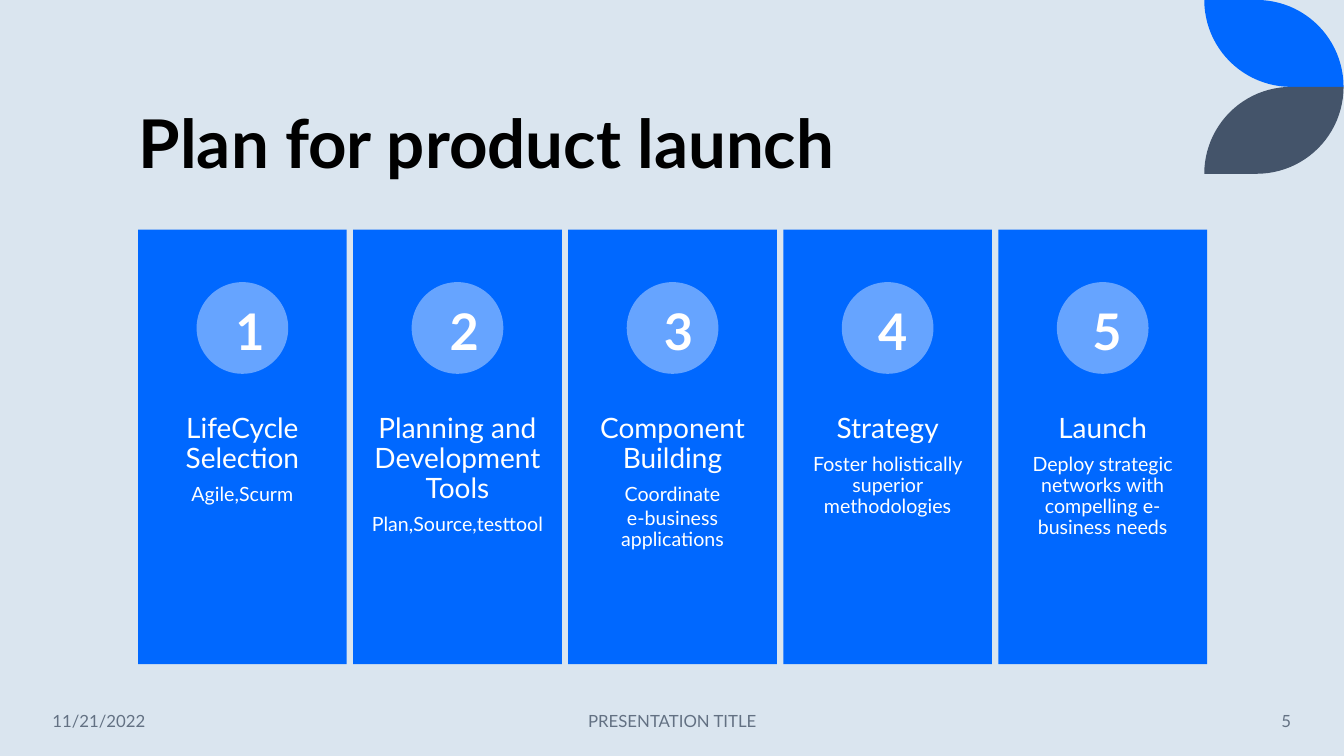
"""Build the product launch plan slide with five numbered step columns."""
from dataclasses import dataclass
from math import cos, pi, sin

from pptx import Presentation
from pptx.dml.color import RGBColor
from pptx.enum.shapes import MSO_SHAPE
from pptx.enum.text import MSO_ANCHOR, MSO_AUTO_SIZE, PP_ALIGN
from pptx.shapes.autoshape import Shape
from pptx.slide import Slide
from pptx.text.text import TextFrame
from pptx.util import Cm, Pt


@dataclass(frozen=True)
class Theme:
    font: str = "Lato"
    background: str = "DAE5EF"
    blue: str = "0068FF"
    light_blue: str = "66A4FF"
    slate: str = "44546A"
    grey: str = "637183"
    black: str = "000000"
    white: str = "FFFFFF"
    title_size: int = 48
    number_size: int = 36
    heading_size: int = 20
    detail_size: int = 14
    footer_size: int = 12


@dataclass(frozen=True)
class Box:
    left: float
    top: float
    width: float
    height: float

    def emu(self) -> tuple[Cm, Cm, Cm, Cm]:
        return Cm(self.left), Cm(self.top), Cm(self.width), Cm(self.height)


@dataclass(frozen=True)
class Line:
    text: str
    size: int
    color: str
    bold: bool = False
    spacing: float = 1.0
    after: int = 0


@dataclass(frozen=True)
class Step:
    heading: str
    details: tuple[str, ...]


@dataclass(frozen=True)
class Footer:
    text: str
    left: float
    width: float
    align: PP_ALIGN


THEME = Theme()
STEPS = (
    Step("LifeCycle Selection", ("Agile,Scurm",)),
    Step("Planning and Development Tools", ("Plan,Source,testtool",)),
    Step("Component Building", ("Coordinate", "e-business applications")),
    Step("Strategy", ("Foster holistically superior methodologies",)),
    Step("Launch", ("Deploy strategic networks with compelling e-business needs",)),
)
FOOTERS = (
    Footer("11/21/2022", 1.07, 4.72, PP_ALIGN.LEFT),
    Footer("PRESENTATION TITLE", 11.23, 11.43, PP_ALIGN.CENTER),
    Footer("5", 28.19, 4.6, PP_ALIGN.RIGHT),
)
COLUMN_LEFT, COLUMN_PITCH, COLUMN_WIDTH = 3.48, 5.42, 5.26
CIRCLE_SIZE = 2.31
NUMBER_LEFT, NUMBER_PITCH = 5.68, 5.4
PETAL_LEFT, PETAL_RADIUS, PETAL_EDGE = 30.35, 2.19, 1.32
ARC_STEPS = 24


def paint(sp: Shape, color: str) -> None:
    sp.fill.solid()
    sp.fill.fore_color.rgb = RGBColor.from_string(color)
    sp.line.fill.background()
    sp.shadow.inherit = False


def add_block(s: Slide, kind: MSO_SHAPE, box: Box, color: str) -> None:
    paint(s.shapes.add_shape(kind, *box.emu()), color)


def add_text(s: Slide, box: Box, lines: list[Line], align: PP_ALIGN,
             anchor: MSO_ANCHOR = MSO_ANCHOR.TOP) -> TextFrame:
    tf = s.shapes.add_textbox(*box.emu()).text_frame
    tf.word_wrap = True
    tf.vertical_anchor = anchor
    for i, line in enumerate(lines):
        p = tf.add_paragraph() if i else tf.paragraphs[0]
        p.alignment = align
        p.line_spacing = line.spacing
        p.space_after = Pt(line.after)
        r = p.add_run()
        r.text = line.text
        r.font.name = THEME.font
        r.font.size = Pt(line.size)
        r.font.bold = line.bold
        r.font.color.rgb = RGBColor.from_string(line.color)
    return tf


def add_petal(s: Slide, color: str, mirrored: bool) -> None:
    radius = PETAL_RADIUS
    angles = [pi / 2 * i / ARC_STEPS for i in range(ARC_STEPS + 1)]
    outer = [(PETAL_EDGE + radius * sin(a), radius - radius * cos(a)) for a in angles]
    inner = [(radius - radius * sin(a), radius * cos(a)) for a in angles]
    points = [(Cm(PETAL_LEFT + x), Cm(2 * radius - y if mirrored else y))
              for x, y in [(0, 0), *outer, *inner]]
    fb = s.shapes.build_freeform(*points[0])
    fb.add_line_segments(points[1:], close=True)
    paint(fb.convert_to_shape(), color)


def add_step(s: Slide, index: int, step: Step) -> None:
    left = COLUMN_LEFT + index * COLUMN_PITCH
    add_block(s, MSO_SHAPE.RECTANGLE, Box(left, 5.79, COLUMN_WIDTH, 10.95), THEME.blue)
    circle_left = left + (COLUMN_WIDTH - CIRCLE_SIZE) / 2
    add_block(s, MSO_SHAPE.OVAL, Box(circle_left, 7.11, CIRCLE_SIZE, CIRCLE_SIZE),
              THEME.light_blue)
    lines = [Line(step.heading, THEME.heading_size, THEME.white, spacing=0.9, after=7)]
    lines += [Line(text, THEME.detail_size, THEME.white, spacing=0.9, after=2)
              for text in step.details]
    tf = add_text(s, Box(left, 10.16, COLUMN_WIDTH, 4.37), lines, PP_ALIGN.CENTER)
    tf.margin_left = tf.margin_right = tf.margin_top = tf.margin_bottom = Cm(0.28)
    number = Line(str(index + 1), THEME.number_size, THEME.white, bold=True)
    box = Box(NUMBER_LEFT + index * NUMBER_PITCH, 7.44, 0.97, 1.8)
    tf = add_text(s, box, [number], PP_ALIGN.CENTER)
    tf.auto_size = MSO_AUTO_SIZE.SHAPE_TO_FIT_TEXT


def main() -> None:
    prs = Presentation()
    prs.slide_width, prs.slide_height = Cm(33.87), Cm(19.05)
    s = prs.slides.add_slide(prs.slide_layouts[6])
    s.background.fill.solid()
    s.background.fill.fore_color.rgb = RGBColor.from_string(THEME.background)
    add_petal(s, THEME.blue, mirrored=False)
    add_petal(s, THEME.slate, mirrored=True)
    title = Line("Plan for product launch", THEME.title_size, THEME.black,
                 bold=True, spacing=0.9)
    add_text(s, Box(3.25, 1.07, 27.15, 3.68), [title], PP_ALIGN.LEFT, MSO_ANCHOR.BOTTOM)
    for index, step in enumerate(STEPS):
        add_step(s, index, step)
    for footer in FOOTERS:
        add_text(s, Box(footer.left, 17.65, footer.width, 1.02),
                 [Line(footer.text, THEME.footer_size, THEME.grey)],
                 footer.align, MSO_ANCHOR.MIDDLE)
    prs.save("out.pptx")


if __name__ == "__main__":
    main()
